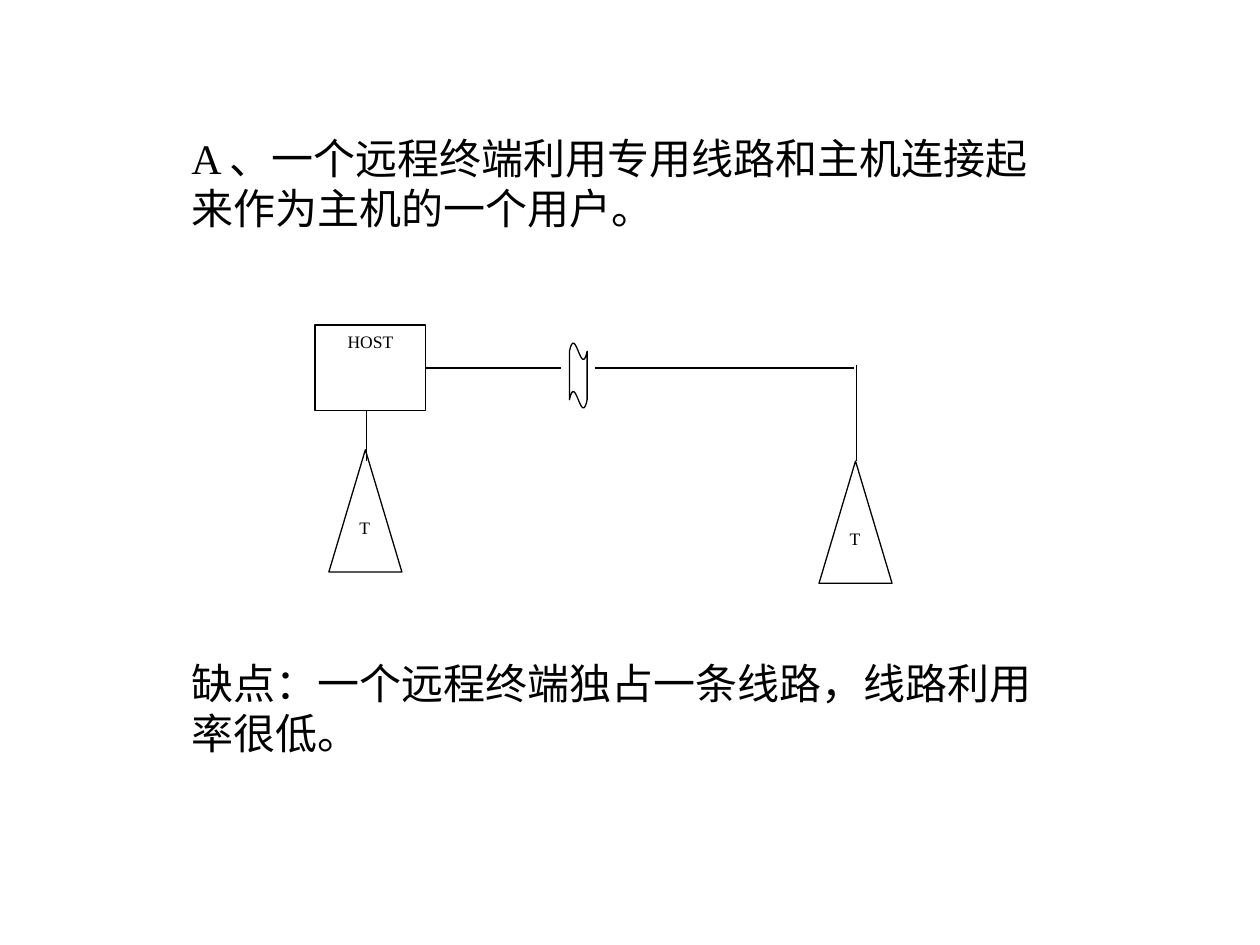
from lxml import etree
from pptx import Presentation, util as u
from pptx.dml.color import RGBColor
from pptx.enum import shapes, text
from pptx.oxml.ns import qn

COLORS = {"ink": "000000", "paper": "FFFFFF"}
FONT = "Times New Roman"
KIND = shapes.MSO_SHAPE
ALIGN = text.PP_ALIGN


def color(name):
    """Return the named colour."""
    return RGBColor.from_string(COLORS[name])


def write(frame, words, size, align):
    """Put one run of text in a frame, from the top."""
    frame.word_wrap = True
    frame.vertical_anchor = text.MSO_ANCHOR.TOP
    para = frame.paragraphs[0]
    para.alignment = align
    run = para.add_run()
    run.text = words
    run.font.name = FONT
    run.font.size = u.Pt(size)
    run.font.color.rgb = color("ink")


def pen(line):
    """Give a line its colour and width."""
    line.color.rgb = color("ink")
    line.width = u.Pt(0.75)


def note(slide, top, words):
    """Add a wide paragraph of body text."""
    box = slide.shapes.add_textbox(
        u.Inches(1.42), u.Inches(top), u.Inches(7), u.Inches(0.9))
    write(box.text_frame, words, 24, ALIGN.LEFT)
    box.text_frame.auto_size = text.MSO_AUTO_SIZE.SHAPE_TO_FIT_TEXT


def node(slide, kind, area, label="", align=ALIGN.CENTER):
    """Add an outlined shape with an optional label."""
    shape = slide.shapes.add_shape(kind, *map(u.Inches, area))
    shape.shadow.inherit = False
    shape.fill.solid()
    shape.fill.fore_color.rgb = color("paper")
    pen(shape.line)
    if label:
        write(shape.text_frame, label, 10, align)
    return shape


def wire(slide, *ends):
    """Add a straight line from x, y to x, y."""
    line = slide.shapes.add_connector(
        shapes.MSO_CONNECTOR.STRAIGHT, *map(u.Inches, ends))
    pen(line.line)
    etree.SubElement(line._element.spPr, qn("a:effectLst"))


def main():
    """Build the slide."""
    deck = Presentation()
    deck.slide_width, deck.slide_height = u.Inches(10), u.Inches(7.5)
    slide = deck.slides.add_slide(deck.slide_layouts[6])

    note(slide, 1, "A 、一个远程终端利用专用线路和主机连接起来作为主机的一个用户。")
    note(slide, 5.17, "缺点：一个远程终端独占一条线路，线路利用率很低。")

    node(slide, KIND.RECTANGLE, (2.5, 2.58, 0.88, 0.68), "HOST")
    for left, top in ((2.61, 3.57), (6.5, 3.66)):
        node(slide, KIND.FLOWCHART_EXTRACT, (left, top, 0.58, 0.97),
             "T", ALIGN.JUSTIFY)

    for ends in ((2.91, 3.66, 2.91, 3.26), (3.38, 2.92, 4.45, 2.92),
                 (6.8, 3.66, 6.8, 2.9), (4.72, 2.92, 6.78, 2.92)):
        wire(slide, *ends)

    wave = node(slide, KIND.WAVE, (4.52, 2.72, 0.14, 0.52))
    wave.adjustments[0] = 0.13
    wave.adjustments[1] = 0

    deck.save("out.pptx")


main()
